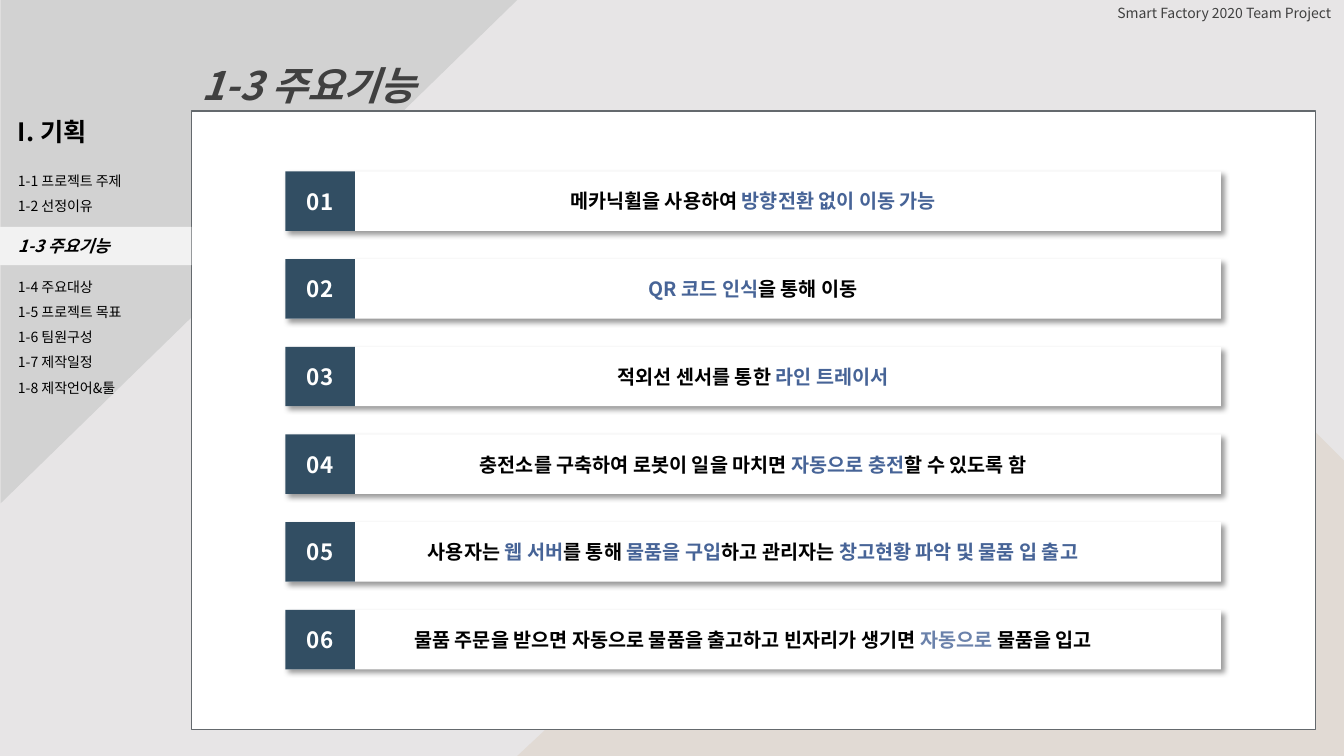
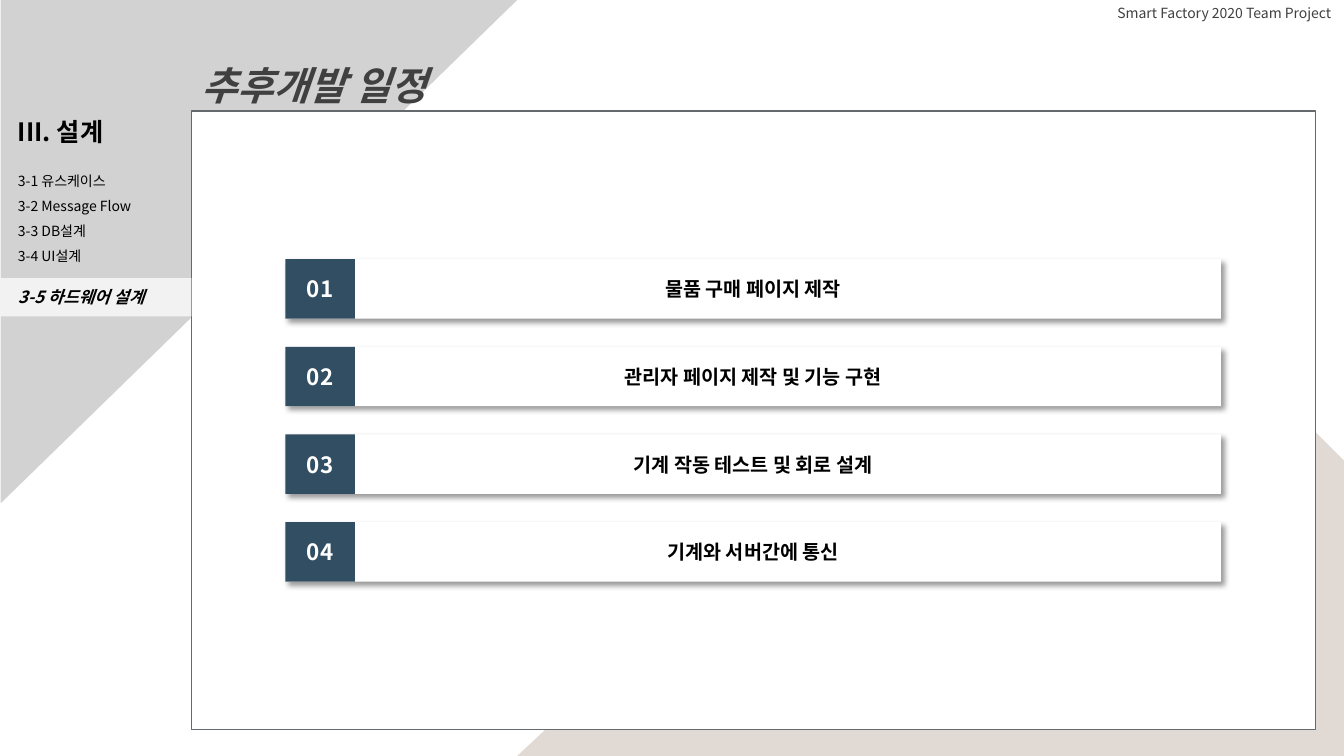
from lxml import etree
from pptx import Presentation
from pptx import util as u
from pptx.dml.color import RGBColor
from pptx.enum import shapes, text
from pptx.oxml.ns import qn

PX = 9144
FONT = "Noto Sans CJK KR"
COLORS = {
    "mist": "E7E5E6", "white": "FFFFFF", "sand": "E1DAD4", "grey": "D2D2D2",
    "border": "64696D", "active": "F2F2F2", "title": "404040", "ink": "000000",
    "navy": "324E63", "accent": "476497", "soft": "6B82AB",
}
PANEL = (190, 110, 1115, 614)
CARD_LEFT, CARD_WIDTH, CARD_HEIGHT, CARD_PITCH = 283, 928, 59, 87
NUMBER_WIDTH = 69

SLIDES = [
    {
        "background": "mist",
        "title": "1-3 주요기능",
        "chapter": "I. 기획",
        "sections": ["1-1 프로젝트 주제", "1-2 선정이유", "1-3 주요기능", "1-4 주요대상",
                     "1-5 프로젝트 목표", "1-6 팀원구성", "1-7 제작일정", "1-8 제작언어&툴"],
        "active": 2,
        "cards": [
            [("메카닉휠을 사용하여 ", "ink"), ("방향전환 없이 이동 가능", "accent")],
            [("QR 코드 인식", "accent"), ("을 통해 이동", "ink")],
            [("적외선 센서를 통한 ", "ink"), ("라인 트레이서", "accent")],
            [("충전소를 구축하여 로봇이 일을 마치면 ", "ink"), ("자동으로 충전", "accent"),
             ("할 수 있도록 함", "ink")],
            [("사용자는 ", "ink"), ("웹 서버", "accent"), ("를 통해 ", "ink"),
             ("물품을 구입", "accent"), ("하고 관리자는 ", "ink"),
             ("창고현황 파악 및 물품 입 출고", "accent")],
            [("물품 주문을 받으면 자동으로 물품을 출고하고 빈자리가 생기면 ", "ink"),
             ("자동으로", "soft"), (" 물품을 입고", "ink")],
        ],
    },
    {
        "background": "white",
        "title": "추후개발 일정",
        "chapter": "III. 설계",
        "sections": ["3-1 유스케이스", "3-2 Message Flow", "3-3 DB설계", "3-4 UI설계",
                     "3-5 하드웨어 설계"],
        "active": 4,
        "cards": [
            [("물품 구매 페이지 제작", "ink")],
            [("관리자 페이지 제작 및 기능 구현", "ink")],
            [("기계 작동 테스트 및 회로 설계", "ink")],
            [("기계와 서버간에 통신", "ink")],
        ],
    },
]


def rgb(name):
    return RGBColor.from_string(COLORS[name])


def px(*lengths):
    return [length * PX for length in lengths]


def paint(shape, fill, line=None):
    shape.shadow.inherit = False
    shape.fill.solid()
    shape.fill.fore_color.rgb = rgb(fill)
    if line:
        shape.line.color.rgb = rgb(line)
        shape.line.width = u.Pt(1)
    else:
        shape.line.fill.background()


def add_block(slide, box, fill, line=None, kind=shapes.MSO_SHAPE.RECTANGLE):
    block = slide.shapes.add_shape(kind, *px(*box))
    paint(block, fill, line)
    return block


def add_run(paragraph, words, size, color="ink", bold=False, italic=False):
    run = paragraph.add_run()
    run.text = words
    font = run.font
    font.name, font.size, font.bold, font.italic = FONT, u.Pt(size), bold, italic
    font.color.rgb = rgb(color)
    east_asian = etree.Element(qn("a:ea"), typeface=FONT)
    run._r.rPr.find(qn("a:latin")).addnext(east_asian)


def add_text_frame(slide, box):
    frame = slide.shapes.add_textbox(*px(*box)).text_frame
    frame.word_wrap = True
    return frame


def center_text(shape, runs, size):
    frame = shape.text_frame
    frame.vertical_anchor = text.MSO_ANCHOR.MIDDLE
    paragraph = frame.paragraphs[0]
    paragraph.alignment = text.PP_ALIGN.CENTER
    for words, color in runs:
        add_run(paragraph, words, size, color, bold=True)


def add_drop_shadow(shape):
    effects = shape._element.spPr.find(qn("a:effectLst"))
    shadow = etree.SubElement(
        effects, qn("a:outerShdw"), blurRad=str(u.Pt(4)), dist=str(u.Pt(3)),
        dir="2700000", algn="tl", rotWithShape="0")
    black = etree.SubElement(shadow, qn("a:srgbClr"), val=COLORS["ink"])
    etree.SubElement(black, qn("a:alpha"), val="40000")


def add_backdrop(slide, background):
    slide.background.fill.solid()
    slide.background.fill.fore_color.rgb = rgb(background)
    corner = slide.shapes.build_freeform(1044, 254, scale=PX)
    corner.add_line_segments([(1130, 254), (1333, 457), (1333, 750), (513, 750)])
    paint(corner.convert_to_shape(), "sand")
    triangle = add_block(slide, (7, -7, 500, 513), "grey",
                         kind=shapes.MSO_SHAPE.RIGHT_TRIANGLE)
    triangle.rotation = 90
    add_block(slide, PANEL, "white", "border")
    project = add_text_frame(slide, (1030, 0, 300, 27)).paragraphs[0]
    project.alignment = text.PP_ALIGN.RIGHT
    add_run(project, "Smart Factory 2020 Team Project", 10, "title")


def set_title(slide, words):
    title = slide.shapes.title
    title.left, title.top, title.width, title.height = px(190, 32, 667, 72)
    slide.shapes._spTree.append(title._element)
    frame = title.text_frame
    frame.vertical_anchor = text.MSO_ANCHOR.TOP
    frame.auto_size = text.MSO_AUTO_SIZE.NONE
    paragraph = frame.paragraphs[0]
    paragraph.alignment = text.PP_ALIGN.LEFT
    paragraph.line_spacing = 1.5
    add_run(paragraph, words, 28, "title", bold=True, italic=True)


def add_sidebar(slide, chapter, sections, active):
    add_block(slide, (0, 174 + active * 51 // 2, 190, 38), "active")
    frame = add_text_frame(slide, (8, 110, 182, 290))
    add_run(frame.paragraphs[0], chapter, 18, bold=True)
    for index, section in enumerate(sections):
        current = index == active
        paragraph = frame.add_paragraph()
        gap = u.Pt(12.6 if current else 3)
        paragraph.space_before = u.Pt(18.7) if index == 0 else gap
        paragraph.space_after = gap
        add_run(paragraph, section, 12 if current else 10, bold=current, italic=current)


def add_cards(slide, cards):
    stack_height = (len(cards) - 1) * CARD_PITCH + CARD_HEIGHT
    first_top = PANEL[1] + (PANEL[3] - stack_height) // 2
    for index, runs in enumerate(cards):
        top = first_top + index * CARD_PITCH
        card = add_block(slide, (CARD_LEFT, top, CARD_WIDTH, CARD_HEIGHT), "white")
        add_drop_shadow(card)
        center_text(card, runs, 14)
        number = add_block(slide, (CARD_LEFT, top, NUMBER_WIDTH, CARD_HEIGHT), "navy")
        center_text(number, [(f"{index + 1:02}", "white")], 16)


def main():
    deck = Presentation()
    deck.slide_width, deck.slide_height = px(1333, 750)
    for content in SLIDES:
        slide = deck.slides.add_slide(deck.slide_layouts[5])
        add_backdrop(slide, content["background"])
        set_title(slide, content["title"])
        add_sidebar(slide, content["chapter"], content["sections"], content["active"])
        add_cards(slide, content["cards"])
    deck.save("out.pptx")


if __name__ == "__main__":
    main()
